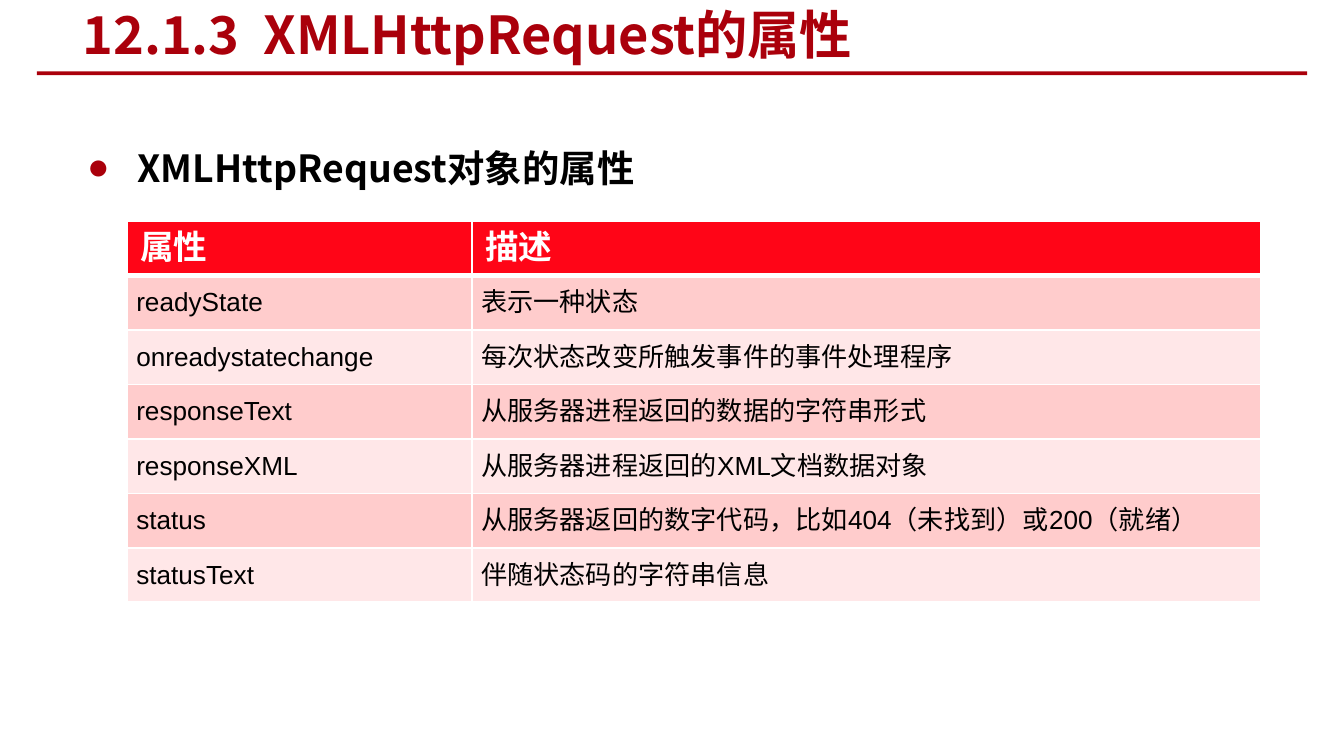
from pptx import Presentation
from pptx import util as u
from pptx.dml.color import RGBColor
from pptx.enum import shapes, text
from pptx.oxml import ns
from lxml import etree

HUES = {"dark": "AA000B", "head": "FF0517", "odd": "FFCCCC",
        "even": "FFE7E8", "ink": "000000", "white": "FFFFFF"}
SANS = "Noto Sans CJK SC"
ROWS = [
    ("属性", "描述"),
    ("readyState", "表示一种状态"),
    ("onreadystatechange", "每次状态改变所触发事件的事件处理程序"),
    ("responseText", "从服务器进程返回的数据的字符串形式"),
    ("responseXML", "从服务器进程返回的XML文档数据对象"),
    ("status", "从服务器返回的数字代码，比如404（未找到）或200（就绪）"),
    ("statusText", "伴随状态码的字符串信息"),
]


class Deck:
    """Holds the style and the current slide."""

    def __init__(self, wide, high):
        self.prs = Presentation()
        self.prs.slide_width, self.prs.slide_height = u.Pt(wide), u.Pt(high)
        self.slide = self.prs.slides.add_slide(self.prs.slide_layouts[5])

    def hue(self, name):
        return RGBColor.from_string(HUES[name])

    def tag(self, owner, name, **attrs):
        return etree.SubElement(owner, ns.qn("a:" + name), attrs)

    def style(self, para, size, hue, face, bold):
        for run in para.runs:
            font = run.font
            font.size, font.bold, font.name = u.Pt(size), bold, face
            font.color.rgb = self.hue(hue)
            self.tag(run.font._element, "ea", typeface=face)

    def inset(self, owner, side, edge):
        owner.margin_left = owner.margin_right = u.Pt(side)
        owner.margin_top = owner.margin_bottom = u.Pt(edge)

    def title(self, words, left, top, wide, high):
        box = self.slide.shapes.title
        box.left, box.top, box.width, box.height = map(u.Pt, (left, top, wide, high))
        frame = box.text_frame
        frame.text = words
        frame.auto_size = text.MSO_AUTO_SIZE.NONE
        frame.vertical_anchor = text.MSO_ANCHOR.MIDDLE
        self.inset(frame, 7.2, 3.6)
        frame.paragraphs[0].alignment = text.PP_ALIGN.LEFT
        self.style(frame.paragraphs[0], 28, "dark", SANS, True)

    def rule(self, left, top, wide, high):
        bar = self.slide.shapes.add_shape(
            shapes.MSO_SHAPE.RECTANGLE, *map(u.Pt, (left, top, wide, high)))
        bar.shadow.inherit = False
        bar.fill.solid()
        bar.fill.fore_color.rgb = self.hue("dark")
        bar.line.fill.background()

    def bullet(self, words, left, top, wide, high):
        box = self.slide.shapes.add_textbox(*map(u.Pt, (left, top, wide, high)))
        frame = box.text_frame
        frame.word_wrap = True
        para = frame.paragraphs[0]
        para.text = words
        para.line_spacing = 1.5
        props = para._p.get_or_add_pPr()
        props.set("marL", str(u.Pt(27)))
        props.set("indent", str(u.Pt(-27)))
        self.tag(self.tag(props, "buClr"), "srgbClr", val=HUES["dark"])
        self.tag(props, "buFont", typeface="Arial")
        self.tag(props, "buChar", char="●")
        self.style(para, 20, "ink", SANS, True)

    def edges(self, cell, base):
        props = cell._tc.get_or_add_tcPr()
        for side, wide in (("L", 1), ("R", 1), ("T", 1), ("B", base)):
            line = self.tag(props, "ln" + side, w=str(u.Pt(wide)))
            self.tag(self.tag(line, "solidFill"), "srgbClr", val=HUES["white"])

    def cell(self, cell, words, row):
        head = row == 0
        cell.text = words
        para = cell.text_frame.paragraphs[0]
        self.edges(cell, 3 if row < 2 and head else 1)
        cell.fill.solid()
        cell.fill.fore_color.rgb = self.hue("head" if head else "odd" if row % 2 else "even")
        if head:
            self.style(para, 18, "white", "Calibri", True)
        else:
            cell.vertical_anchor = text.MSO_ANCHOR.MIDDLE
            self.inset(cell, 5, 0)
            para.alignment = text.PP_ALIGN.JUSTIFY
            self.style(para, 14, "ink", "Arial", False)

    def table(self, rows, left, top, cols, high):
        grid = self.slide.shapes.add_table(
            len(rows), len(cols), u.Pt(left), u.Pt(top),
            u.Pt(sum(cols)), u.Pt(high * len(rows))).table
        for col, wide in zip(grid.columns, cols):
            col.width = u.Pt(wide)
        for i, row in enumerate(rows):
            grid.rows[i].height = u.Pt(high)
            for j, words in enumerate(row):
                self.cell(grid.cell(i, j), words, i)


def main():
    deck = Deck(720, 405)
    deck.rule(19.8, 38.3, 680.4, 2)
    deck.bullet("XMLHttpRequest对象的属性", 39.6, 62, 646.5, 315.5)
    deck.title("12.1.3  XMLHttpRequest的属性", 37, 1.5, 475, 32.5)
    deck.table(ROWS, 68, 118.3, (184.8, 422.4), 29.2)
    deck.prs.save("out.pptx")


if __name__ == "__main__":
    main()
